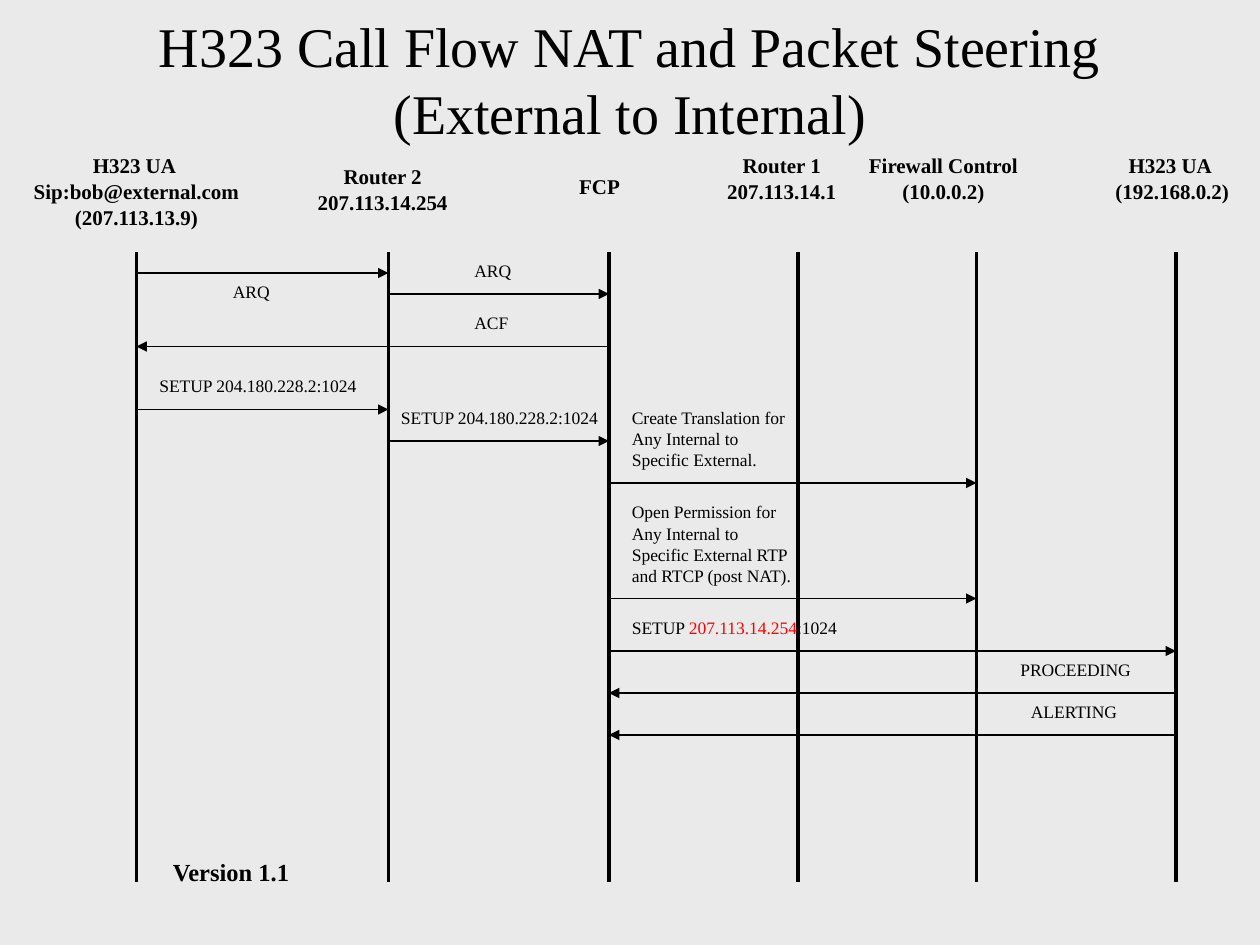
from lxml import etree
from pptx import Presentation
from pptx import util as u
from pptx.dml.color import RGBColor
from pptx.enum import shapes, text
from pptx.oxml.ns import qn

SCALE = 914400 // 120
FONT = "Times New Roman"
COLORS = {"paper": "EAEAEA", "ink": "000000", "translated": "FF0000"}
LIFELINES = {"caller": 130, "router2": 370, "fcp": 580,
             "router1": 760, "firewall": 930, "callee": 1120}
PARTIES = [
    ((20, 150, 220, 73), ["H323 UA ", "Sip:bob@external.com", "(207.113.13.9)"]),
    ((289, 160, 151, 49), ["Router 2", "207.113.14.254"]),
    ((537, 170, 68, 24), ["FCP"]),
    ((679, 150, 131, 49), ["Router 1", "207.113.14.1"]),
    ((814, 150, 169, 49), ["Firewall Control", "(10.0.0.2)"]),
    ((1049, 150, 135, 49), ["H323 UA ", "(192.168.0.2)"]),
]
MESSAGES = [
    ("caller", "router2", 20, (210, 30, 70), ["ARQ"], True),
    ("router2", "fcp", 40, (440, 10, 62), ["ARQ"], False),
    ("fcp", "caller", 90, (440, 60, 60), ["ACF"], False),
    ("caller", "router2", 150, (140, 120, 215), ["SETUP 204.180.228.2:1024"], False),
    ("router2", "fcp", 180, (370, 150, 215), ["SETUP 204.180.228.2:1024"], False),
    ("fcp", "firewall", 220, (590, 150, 180),
     ["Create Translation for", "Any Internal to", "Specific External."], True),
    ("fcp", "firewall", 330, (590, 240, 180),
     ["Open Permission for", "Any Internal to", "Specific External RTP",
      "and RTCP (post NAT)."], True),
    ("fcp", "callee", 380, (590, 350, 223),
     [[("SETUP ", "ink"), ("207.113.14.254", "translated"), (":1024", "ink")]], False),
    ("callee", "fcp", 420, (960, 390, 134), ["PROCEEDING"], False),
    ("callee", "fcp", 460, (970, 430, 111), ["ALERTING"], False),
]


def px(n):
    """Turn px into EMU."""
    return u.Emu(n * SCALE)


def rgb(name):
    """Look up a named colour."""
    return RGBColor.from_string(COLORS[name])


def add_text(s, box, lines, size, bold=False, center=False, wrap=False, tight=True):
    """Add a text box with one paragraph per line; a line may be a list of coloured runs."""
    tf = s.shapes.add_textbox(*map(px, box)).text_frame
    tf.word_wrap = wrap
    tf.auto_size = (text.MSO_AUTO_SIZE.SHAPE_TO_FIT_TEXT if tight
                    else text.MSO_AUTO_SIZE.NONE)
    for i, line in enumerate(lines):
        p = tf.add_paragraph() if i else tf.paragraphs[0]
        p.alignment = text.PP_ALIGN.CENTER if center else text.PP_ALIGN.LEFT
        if tight:
            p.line_spacing = 0.5
        if i:
            p.space_before = u.Pt(size * 0.625)
        p.font.name, p.font.size, p.font.bold = FONT, u.Pt(size), bold
        for words, color in [(line, "ink")] if isinstance(line, str) else line:
            r = p.add_run()
            r.text = words
            r.font.color.rgb = rgb(color)


def add_line(s, x1, y1, x2, y2, width, arrow=False):
    """Add a straight line, with an arrowhead at its end if asked."""
    cx = s.shapes.add_connector(shapes.MSO_CONNECTOR.STRAIGHT, *map(px, (x1, y1, x2, y2)))
    cx.line.color.rgb = rgb("ink")
    cx.line.width = u.Pt(width)
    if arrow:
        etree.SubElement(cx.line._get_or_add_ln(), qn("a:tailEnd"), type="triangle")
    etree.SubElement(cx._element.spPr, qn("a:effectLst"))


def add_title(s, box, words):
    """Place and format the title."""
    sp = s.shapes.title
    sp.left, sp.top, sp.width, sp.height = map(px, box)
    tf = sp.text_frame
    tf.text = words
    tf.word_wrap = True
    tf.auto_size = text.MSO_AUTO_SIZE.NONE
    tf.vertical_anchor = text.MSO_ANCHOR.MIDDLE
    p = tf.paragraphs[0]
    p.alignment = text.PP_ALIGN.CENTER
    p.font.name, p.font.size = FONT, u.Pt(32)
    p.font.color.rgb = rgb("ink")


def add_parties(s):
    """Name the parties above their lifelines."""
    for box, lines in PARTIES:
        add_text(s, box, lines, 12, bold=True, center=True)


def add_flow(s, top, height):
    """Draw the lifelines and the messages between them."""
    for x in LIFELINES.values():
        add_line(s, x, top, x, top + height, 2.25)
    for start, end, dy, (x, label_dy, w), lines, wrap in MESSAGES:
        y = top + dy
        add_line(s, LIFELINES[start], y, LIFELINES[end], y, 0.75, arrow=True)
        h = 23 + 20 * (len(lines) - 1)
        add_text(s, (x, top + label_dy, w, h), lines, 10, wrap=wrap)


def main():
    """Build and save the slide."""
    prs = Presentation()
    prs.slide_width, prs.slide_height = px(1200), px(900)
    s = prs.slides.add_slide(prs.slide_layouts[5])
    s.background.fill.solid()
    s.background.fill.fore_color.rgb = rgb("paper")
    add_title(s, (0, 0, 1200, 150),
              "H323 Call Flow NAT and Packet Steering\v(External to Internal)")
    add_parties(s)
    add_flow(s, 240, 600)
    add_text(s, (30, 810, 380, 60), ["Version 1.1"], 14, bold=True, center=True,
             wrap=True, tight=False)
    prs.save("out.pptx")


if __name__ == "__main__":
    main()
